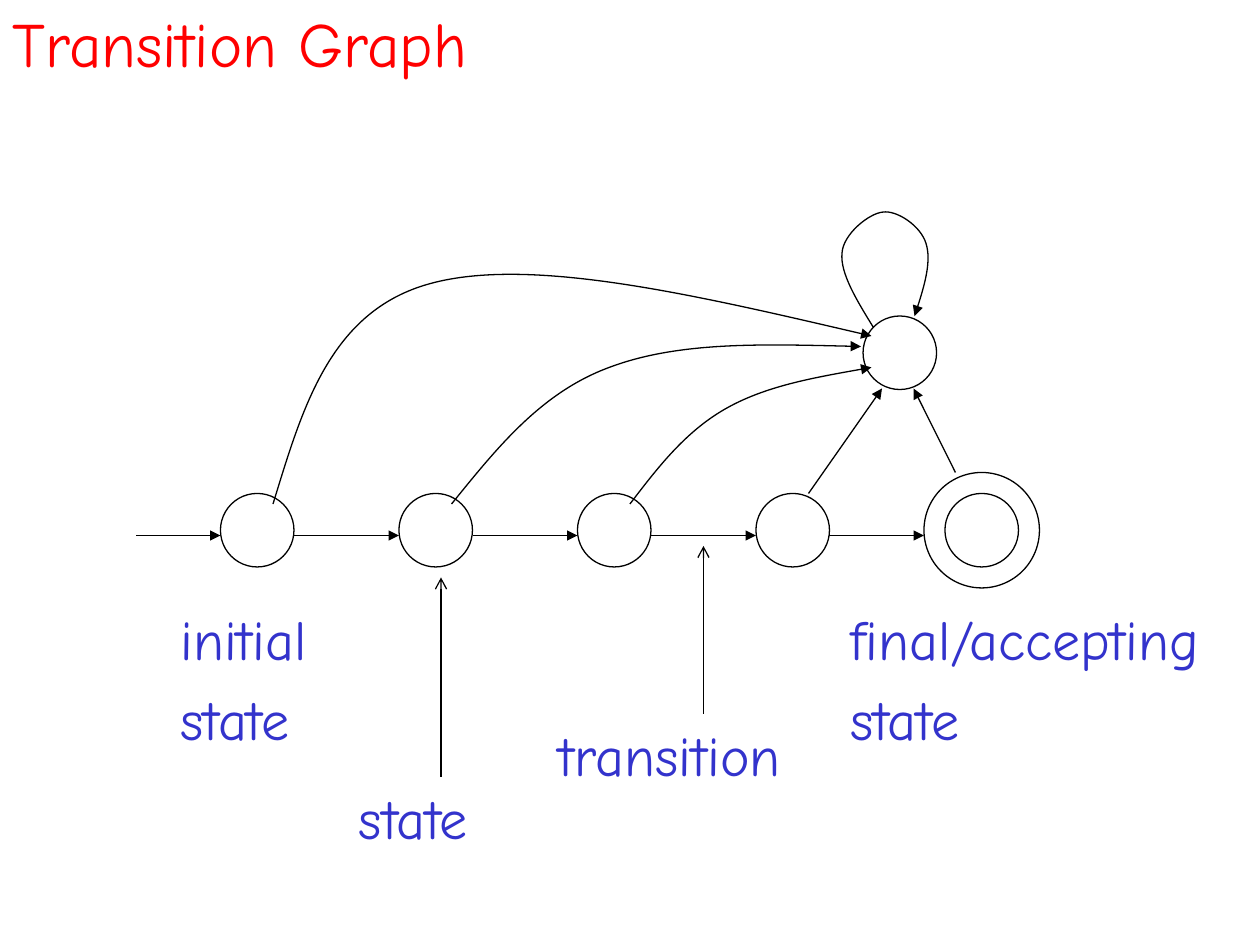
from dataclasses import dataclass

from lxml import etree
from pptx import Presentation
from pptx.dml.color import RGBColor
from pptx.enum.shapes import MSO_CONNECTOR, MSO_SHAPE
from pptx.enum.text import MSO_ANCHOR
from pptx.oxml.ns import qn
from pptx.util import Inches, Pt

STRAIGHT = MSO_CONNECTOR.STRAIGHT
ELLIPSE = MSO_SHAPE.OVAL
MIDDLE = MSO_ANCHOR.MIDDLE

COLORS = {"title": "FF0000", "label": "3333CC", "line": "000000"}
FONT = "Comic Neue"
CELL = Inches(10) / 120
STATE_SIZE = 7
FINAL_SIZE = 11
PITCH = 17


@dataclass
class Box:
    column: float
    row: float
    columns: float
    rows: float

    def point(self, column, row):
        return round((self.column + column) * CELL), round((self.row + row) * CELL)


def add_text(slide, box, place, size, lines, points, color):
    width, height = (round(length * CELL) for length in size)
    shape = slide.shapes.add_textbox(*box.point(*place), width, height)
    frame = shape.text_frame
    frame.word_wrap = True
    for index, line in enumerate(lines):
        paragraph = frame.add_paragraph() if index else frame.paragraphs[0]
        paragraph.text = line
        paragraph.space_before = Pt(7 if index else 0)
        paragraph.font.name = FONT
        paragraph.font.size = Pt(points)
        paragraph.font.color.rgb = RGBColor.from_string(COLORS[color])
    return frame


def style_line(shape, head=None):
    shape.line.color.rgb = RGBColor.from_string(COLORS["line"])
    shape.line.width = Pt(0.75)
    if head:
        etree.SubElement(shape.line._get_or_add_ln(), qn("a:tailEnd"), type=head)


def add_arrow(slide, box, start, end, head="triangle"):
    arrow = slide.shapes.add_connector(STRAIGHT, *box.point(*start), *box.point(*end))
    style_line(arrow, head)
    etree.SubElement(arrow._element.spPr, qn("a:effectLst"))


def add_circle(slide, box, place, size):
    diameter = round(size * CELL)
    circle = slide.shapes.add_shape(ELLIPSE, *box.point(*place), diameter, diameter)
    circle.shadow.inherit = False
    circle.fill.background()
    style_line(circle)


def add_curve(slide, box, points):
    start, *rest = [box.point(*point) for point in points]
    builder = slide.shapes.build_freeform(*start)
    builder.add_line_segments(rest, close=False)
    curve = builder.convert_to_shape()
    curve.shadow.inherit = False
    curve.fill.background()
    style_line(curve, "triangle")
    outline = next(curve._element.iter(qn("a:path")))
    segments = outline.findall(qn("a:lnTo"))
    for first in range(0, len(segments), 3):
        bezier = etree.SubElement(outline, qn("a:cubicBezTo"))
        for segment in segments[first:first + 3]:
            bezier.append(segment[0])
            outline.remove(segment)


def add_title(slide, box):
    frame = add_text(slide, box, (0, 0), (box.columns, box.rows),
                     ["Transition Graph"], 36, "title")
    frame.vertical_anchor = MIDDLE


def add_graph(slide, box):
    state_row, arrow_row = 27, 31
    state_columns = [8 + PITCH * index for index in range(4)]
    final_column = box.columns - FINAL_SIZE
    inset = (FINAL_SIZE - STATE_SIZE) / 2

    for column in state_columns:
        add_circle(slide, box, (column, state_row), STATE_SIZE)
    add_circle(slide, box, (final_column + inset, state_row), STATE_SIZE)
    add_circle(slide, box, (final_column, state_row - inset), FINAL_SIZE)
    add_circle(slide, box, (69.2, 10.1), STATE_SIZE)

    starts = [0] + [column + STATE_SIZE for column in state_columns]
    for start, end in zip(starts, state_columns + [final_column]):
        add_arrow(slide, box, (start, arrow_row), (end, arrow_row))
    add_arrow(slide, box, (64, state_row), (71, 17))
    add_arrow(slide, box, (78, state_row - inset), (74, 17))

    curves = [
        [(70.2, 11.2), (68.6, 8.6), (67, 6), (67.2, 4.1),
         (67.3, 2.3), (69.8, 0.3), (71.1, 0.2),
         (72.4, 0), (74.7, 1.5), (75.2, 3.2),
         (75.7, 4.8), (75, 7.5), (74.1, 10.1)],
        [(47, 28), (49.6, 24.6), (52.2, 21.2), (56, 19),
         (59.8, 16.8), (64.9, 15.9), (70, 15)],
        [(30, 28), (34.3, 22.7), (38.5, 17.4), (45, 15),
         (51.6, 12.5), (60.2, 12.8), (69, 13)],
        [(13, 28), (15.8, 18.9), (18.4, 9.6), (28, 7),
         (37.5, 4.4), (53.7, 8.2), (70, 12)],
    ]
    for points in curves:
        add_curve(slide, box, points)


def add_labels(slide, box):
    labels = [
        ((0, 5), (17, 15), ["initial", "state"]),
        ((63.8, 5), (40, 15), ["final/accepting", "state"]),
        ((17, 22), (16, 7.5), ["state"]),
        ((36, 16), (27, 7.5), ["transition"]),
    ]
    for place, size, lines in labels:
        add_text(slide, box, place, size, lines, 32, "label")
    add_arrow(slide, box, (26, 22), (26, 3), "arrow")
    add_arrow(slide, box, (51, 16), (51, 0), "arrow")


def main():
    presentation = Presentation()
    presentation.slide_width = Inches(10)
    presentation.slide_height = Inches(7.5)
    slide = presentation.slides.add_slide(presentation.slide_layouts[6])
    add_title(slide, Box(0, 0, 116, 8))
    add_graph(slide, Box(13, 20, 86, 36))
    add_labels(slide, Box(16, 52, 104, 30))
    presentation.save("out.pptx")


if __name__ == "__main__":
    main()
